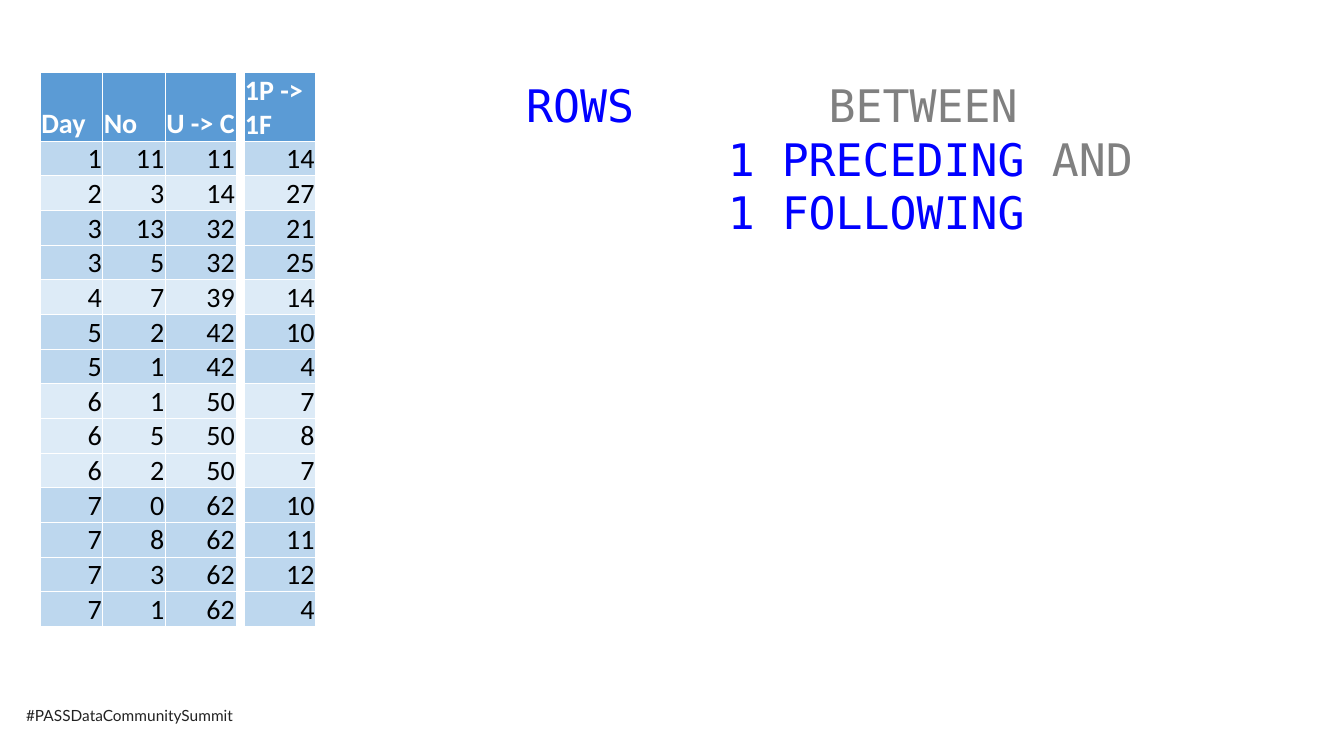
from lxml.etree import SubElement
from pptx import Presentation
from pptx.dml.color import RGBColor
from pptx.enum.text import MSO_ANCHOR as ANCHOR, PP_ALIGN as ALIGN
from pptx.oxml.ns import qn
from pptx.util import Inches, Pt

WHITE, BLACK, HEADER = "FFFFFF", "000000", "5B9BD5"
ODD_DAY, EVEN_DAY = "BDD7EE", "DDEBF7"
KEYWORD, OPERATOR = "0000FF", "808080"
TOP, HEADER_H, TABLE_H = 0.72, 0.68, 5.47

DAYS = [1, 2, 3, 3, 4, 5, 5, 6, 6, 6, 7, 7, 7, 7]
NUMBERS = [11, 3, 13, 5, 7, 2, 1, 1, 5, 2, 0, 8, 3, 1]
RUNNING = [11, 14, 32, 32, 39, 42, 42, 50, 50, 50, 62, 62, 62, 62]
SLIDING = [14, 27, 21, 25, 14, 10, 4, 7, 8, 7, 10, 11, 12, 4]

FRAME_CLAUSE = [
    [("ROWS\t\t", KEYWORD), ("BETWEEN", OPERATOR)],
    [("\t\t", BLACK), ("1 PRECEDING ", KEYWORD), ("AND", OPERATOR)],
    [("\t\t", BLACK), ("1 FOLLOWING", KEYWORD)],
]


def rgb(value):
    return RGBColor.from_string(value)


def add_run(p, text, font, size, color, bold=False):
    r = p.add_run()
    r.text = text
    r.font.name, r.font.size, r.font.bold = font, Pt(size), bold
    r.font.color.rgb = rgb(color)


def add_tabs(p, stops):
    tabs = SubElement(p._p.get_or_add_pPr(), qn("a:tabLst"))
    for stop in stops:
        SubElement(tabs, qn("a:tab"), pos=str(Inches(stop)), algn="l")


def add_text(s, box, lines, font, size, wrap=True, stops=()):
    tf = s.shapes.add_textbox(*map(Inches, box)).text_frame
    tf.word_wrap = wrap
    for i, line in enumerate(lines):
        p = tf.add_paragraph() if i else tf.paragraphs[0]
        if stops:
            add_tabs(p, stops)
        for text, color in line:
            add_run(p, text, font, size, color)


def add_borders(cell):
    tcPr = cell._tc.get_or_add_tcPr()
    for side in ("lnL", "lnR", "lnT", "lnB"):
        line = SubElement(tcPr, qn(f"a:{side}"), w=str(Pt(0.5)))
        fill = SubElement(line, qn("a:solidFill"))
        SubElement(fill, qn("a:srgbClr"), val=WHITE)


def fill_cell(cell, value, fill, header):
    add_borders(cell)
    cell.fill.solid()
    cell.fill.fore_color.rgb = rgb(fill)
    cell.vertical_anchor = ANCHOR.BOTTOM
    cell.margin_left = cell.margin_right = cell.margin_top = Inches(0.01)
    cell.margin_bottom = 0
    p = cell.text_frame.paragraphs[0]
    p.alignment = ALIGN.LEFT if header else ALIGN.RIGHT
    add_run(p, str(value), "Calibri", 20, WHITE if header else BLACK, header)


def add_day_table(s, left, widths, columns):
    rows = list(zip(*columns))
    frame = s.shapes.add_table(len(rows), len(columns), Inches(left), Inches(TOP),
                               Inches(sum(widths)), Inches(TABLE_H))
    table = frame.table
    table.horz_banding = False
    for column, width in zip(table.columns, widths):
        column.width = Inches(width)
    for i, values in enumerate(rows):
        height = (TABLE_H - HEADER_H) / len(DAYS) if i else HEADER_H
        table.rows[i].height = Inches(height)
        fill = (ODD_DAY if DAYS[i - 1] % 2 else EVEN_DAY) if i else HEADER
        for j, value in enumerate(values):
            fill_cell(table.cell(i, j), value, fill, header=i == 0)


def main():
    prs = Presentation()
    prs.slide_width, prs.slide_height = Inches(13.33), Inches(7.5)
    s = prs.slides.add_slide(prs.slide_layouts[6])
    add_text(s, (0.16, 6.96, 2.34, 0.29),
             [[("#PASSDataCommunitySummit", "222222")]], "Lato", 11, wrap=False)
    add_day_table(s, 0.4, (0.62, 0.62, 0.7),
                  (["Day", *DAYS], ["No", *NUMBERS], ["U -> C", *RUNNING]))
    add_text(s, (5.12, TOP, 7.15, 2.26), FRAME_CLAUSE,
             "DejaVu Sans Mono", 32, stops=(1, 2, 3))
    add_day_table(s, 2.42, (0.71,), (["1P -> 1F", *SLIDING],))
    prs.save("out.pptx")


if __name__ == "__main__":
    main()
